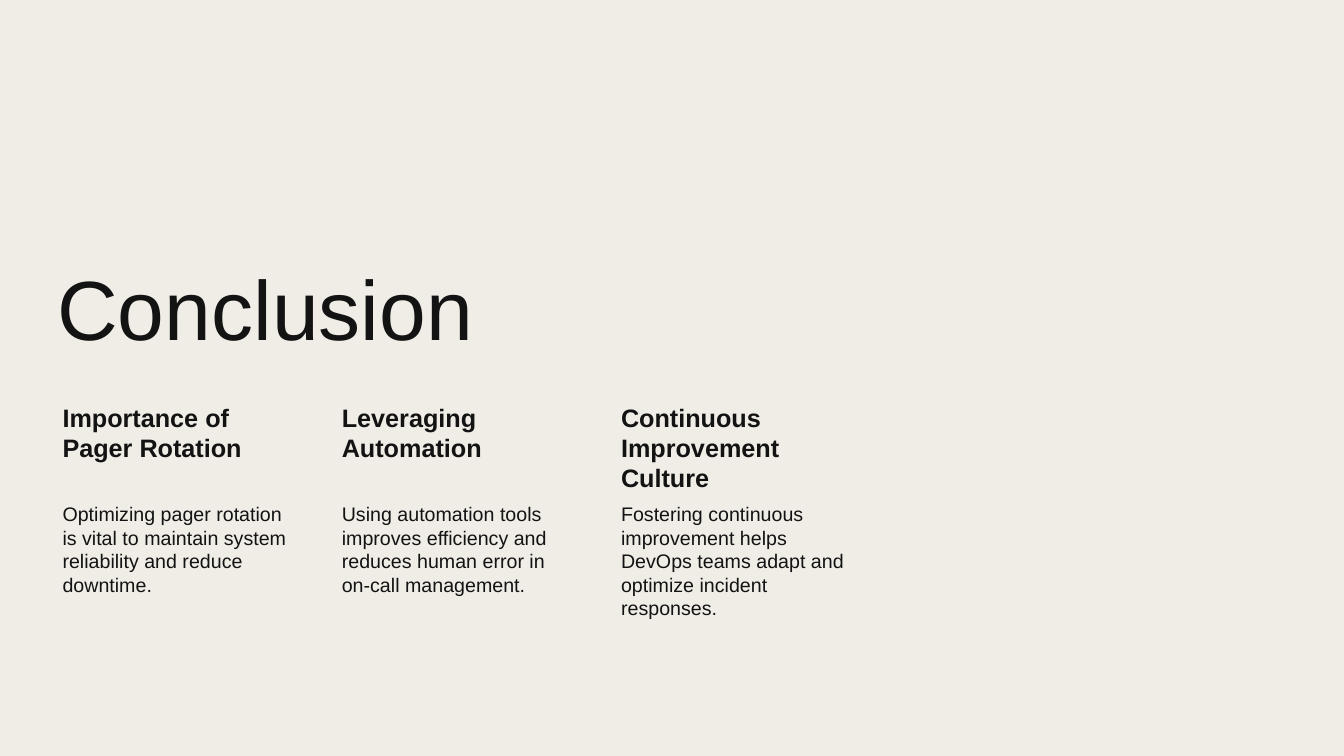
from typing import NamedTuple

from pptx import Presentation
from pptx.dml.color import RGBColor
from pptx.enum.text import MSO_ANCHOR as Anchor
from pptx.util import Inches, Pt

INK = "131313"
PAPER = "F0EDE6"
FONT = "Arial"

LEFT = 0.47
COLUMN_WIDTH = 2.52
COLUMN_STEP = 2.77
TITLE_TOP, TITLE_HEIGHT = 1.6, 2.01
HEADING_TOP, HEADING_HEIGHT = 3.96, 1.0
BODY_TOP, BODY_HEIGHT = HEADING_TOP + HEADING_HEIGHT, 1.44


class Takeaway(NamedTuple):
    heading: str
    body: str


TAKEAWAYS = [
    Takeaway("Importance of Pager Rotation",
             "Optimizing pager rotation is vital to maintain system "
             "reliability and reduce downtime."),
    Takeaway("Leveraging Automation",
             "Using automation tools improves efficiency and reduces "
             "human error in on-call management."),
    Takeaway("Continuous Improvement Culture",
             "Fostering continuous improvement helps DevOps teams adapt "
             "and optimize incident responses."),
]


def color(value: str) -> RGBColor:
    return RGBColor.from_string(value)


def add_text(slide, text: str, left: float, top: float, width: float,
             height: float, *, size: float, bold: bool = False,
             anchor=Anchor.TOP, line_spacing: float = 1.0,
             insets: tuple = (0.1, 0.05, 0.1, 0.05)) -> None:
    """Place one wrapped paragraph; lengths and insets are in inches."""
    box = slide.shapes.add_textbox(*map(Inches, (left, top, width, height)))
    frame = box.text_frame
    frame.word_wrap = True
    frame.vertical_anchor = anchor
    (frame.margin_left, frame.margin_top,
     frame.margin_right, frame.margin_bottom) = map(Inches, insets)
    paragraph = frame.paragraphs[0]
    paragraph.line_spacing = line_spacing
    run = paragraph.add_run()
    run.text = text
    run.font.name = FONT
    run.font.size = Pt(size)
    run.font.bold = bold
    run.font.color.rgb = color(INK)


def add_takeaway(slide, takeaway: Takeaway, column: int) -> None:
    left = LEFT + column * COLUMN_STEP
    add_text(slide, takeaway.heading, left, HEADING_TOP, COLUMN_WIDTH,
             HEADING_HEIGHT, size=18, bold=True,
             insets=(0.15, 0.03, 0.03, 0.03))
    add_text(slide, takeaway.body, left, BODY_TOP, COLUMN_WIDTH,
             BODY_HEIGHT, size=14, insets=(0.15, 0.02, 0.02, 0.02))


def main() -> None:
    deck = Presentation()
    deck.slide_width, deck.slide_height = Inches(13.33), Inches(7.5)
    slide = deck.slides.add_slide(deck.slide_layouts[6])
    slide.background.fill.solid()
    slide.background.fill.fore_color.rgb = color(PAPER)

    title_width = (len(TAKEAWAYS) - 1) * COLUMN_STEP + COLUMN_WIDTH
    add_text(slide, "Conclusion", LEFT, TITLE_TOP, title_width, TITLE_HEIGHT,
             size=60, anchor=Anchor.BOTTOM, line_spacing=0.9)
    for column, takeaway in enumerate(TAKEAWAYS):
        add_takeaway(slide, takeaway, column)
    deck.save("out.pptx")


if __name__ == "__main__":
    main()
